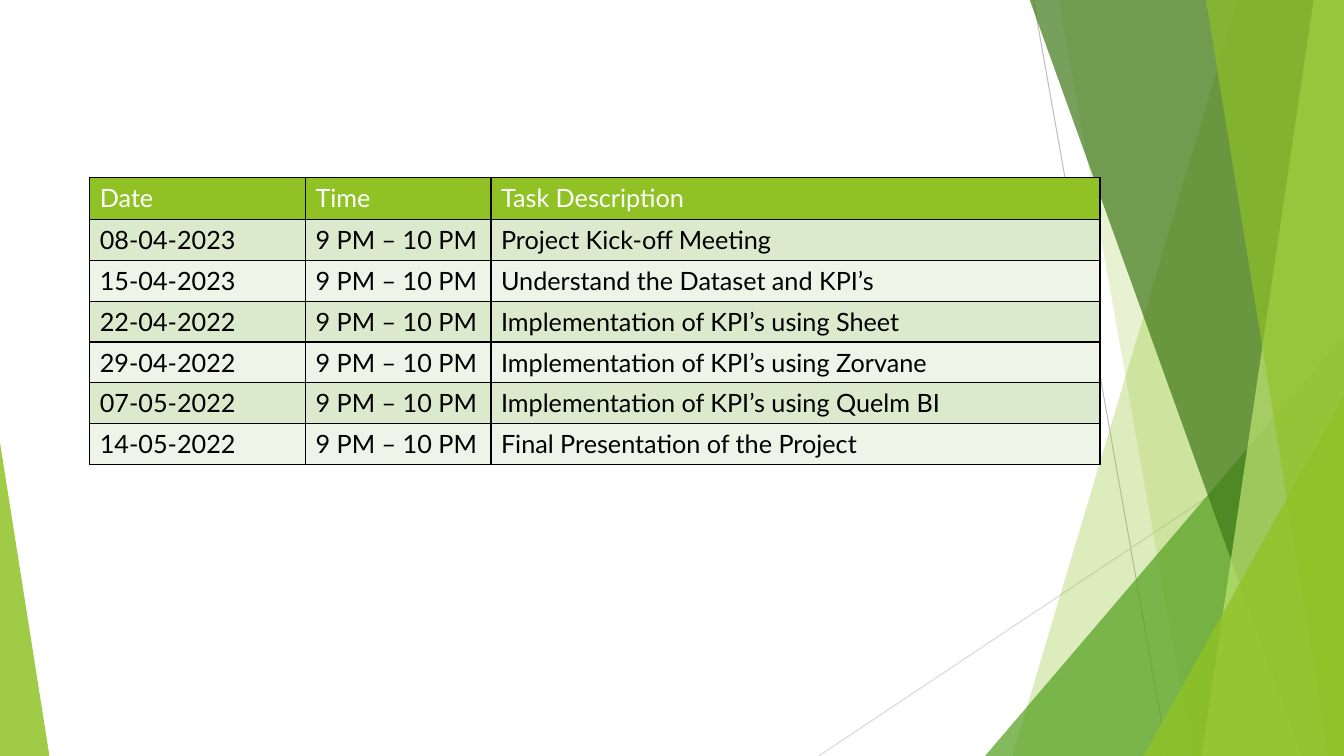
"""Build a project schedule slide: a task table over translucent green facets."""
import dataclasses
import typing

import lxml.etree
import pptx
import pptx.dml.color
import pptx.enum.shapes
import pptx.oxml.ns
import pptx.shapes.autoshape
import pptx.slide
import pptx.table
import pptx.util

GRID_STEP = 0.1
RIGHT, BOTTOM, FACET_TOP = 133.3, 75, -0.1


@dataclasses.dataclass(frozen=True)
class Theme:
    font: str = "Lato"
    text_size: int = 18
    border_width: float = 1
    ray_width: float = 0.75
    border: str = "000000"
    text: str = "000000"
    header_text: str = "FFFFFF"
    lime: str = "90C226"
    pale_lime: str = "C0E474"
    green: str = "54A021"
    forest: str = "3F7819"
    dark_band: str = "DBE9CD"
    light_band: str = "EEF4E8"
    dark_ray: str = "BFBFBF"
    light_ray: str = "D9D9D9"


THEME = Theme()


class Ray(typing.NamedTuple):
    start: tuple[float, float]
    end: tuple[float, float]
    colour: str


class Facet(typing.NamedTuple):
    top_column: float
    foot_column: float
    colour: str
    opacity: int


class Spike(typing.NamedTuple):
    column: float
    row: float
    width: float
    apex: int
    colour: str
    opacity: int


class Task(typing.NamedTuple):
    date: str
    time: str
    description: str


RAYS = [
    Ray((102.5, 0), (115.8, BOTTOM), THEME.dark_ray),
    Ray((RIGHT, 40.3), (81.2, BOTTOM), THEME.light_ray),
]
PANELS = [
    Facet(122.8, 100.4, THEME.lime, 30),
    Facet(105, 118.3, THEME.lime, 20),
    Spike(97.7, 33.3, 35.6, 1, THEME.green, 72),
    Facet(102.1, 129.1, THEME.forest, 70),
    Facet(130.3, 119.2, THEME.pale_lime, 70),
    Facet(119.6, 131.8, THEME.lime, 65),
    Spike(113.4, 39.3, 19.9, 1, THEME.lime, 80),
    Spike(0, 43.9, 4.9, 0, THEME.lime, 85),
]
MEETING_TIME = "9 PM – 10 PM"
HEADER = Task("Date", "Time", "Task Description")
TASKS = [
    Task("08-04-2023", MEETING_TIME, "Project Kick-off Meeting"),
    Task("15-04-2023", MEETING_TIME, "Understand the Dataset and KPI’s"),
    Task("22-04-2022", MEETING_TIME, "Implementation of KPI’s using Sheet"),
    Task("29-04-2022", MEETING_TIME, "Implementation of KPI’s using Zorvane"),
    Task("07-05-2022", MEETING_TIME, "Implementation of KPI’s using Quelm BI"),
    Task("14-05-2022", MEETING_TIME, "Final Presentation of the Project"),
]
TABLE_COLUMN, TABLE_ROW = 8.9, 17.6
COLUMN_WIDTHS = [21.4, 18.4, 60.4]
ROW_HEIGHTS = [4.2] + [4.05] * len(TASKS)


def grid(steps: float) -> int:
    return pptx.util.Inches(steps * GRID_STEP)


def rgb(colour: str) -> pptx.dml.color.RGBColor:
    return pptx.dml.color.RGBColor.from_string(colour)


def draw_ray(page: pptx.slide.Slide, ray: Ray) -> None:
    line = page.shapes.add_connector(
        pptx.enum.shapes.MSO_CONNECTOR.STRAIGHT, *map(grid, ray.start + ray.end))
    line.line.color.rgb = rgb(ray.colour)
    line.line.width = pptx.util.Pt(THEME.ray_width)
    lxml.etree.SubElement(line._element.spPr, pptx.oxml.ns.qn("a:effectLst"))


def add_facet(page: pptx.slide.Slide, facet: Facet) -> pptx.shapes.autoshape.Shape:
    builder = page.shapes.build_freeform(grid(facet.top_column), grid(FACET_TOP))
    corners = [(RIGHT, FACET_TOP), (RIGHT, BOTTOM), (facet.foot_column, BOTTOM)]
    builder.add_line_segments([(grid(column), grid(row)) for column, row in corners])
    return builder.convert_to_shape()


def add_spike(page: pptx.slide.Slide, spike: Spike) -> pptx.shapes.autoshape.Shape:
    shape = page.shapes.add_shape(
        pptx.enum.shapes.MSO_SHAPE.ISOSCELES_TRIANGLE,
        grid(spike.column), grid(spike.row), grid(spike.width), grid(BOTTOM - spike.row))
    shape.adjustments[0] = spike.apex
    return shape


def draw_panel(page: pptx.slide.Slide, panel: Facet | Spike) -> None:
    shape = add_facet(page, panel) if isinstance(panel, Facet) else add_spike(page, panel)
    shape.shadow.inherit = False
    shape.line.fill.background()
    shape.fill.solid()
    shape.fill.fore_color.rgb = rgb(panel.colour)
    for colour in shape._element.spPr.iter(pptx.oxml.ns.qn("a:srgbClr")):
        alpha = lxml.etree.SubElement(colour, pptx.oxml.ns.qn("a:alpha"))
        alpha.set("val", str(panel.opacity * 1000))


def add_borders(cell: pptx.table._Cell) -> None:
    properties = cell._tc.get_or_add_tcPr()
    for position, side in enumerate(("lnL", "lnR", "lnT", "lnB")):
        border = lxml.etree.Element(pptx.oxml.ns.qn(f"a:{side}"))
        border.set("w", str(pptx.util.Pt(THEME.border_width)))
        fill = lxml.etree.SubElement(border, pptx.oxml.ns.qn("a:solidFill"))
        lxml.etree.SubElement(fill, pptx.oxml.ns.qn("a:srgbClr")).set("val", THEME.border)
        properties.insert(position, border)


def fill_cell(cell: pptx.table._Cell, text: str, fill: str, text_colour: str) -> None:
    cell.fill.solid()
    cell.fill.fore_color.rgb = rgb(fill)
    add_borders(cell)
    cell.text_frame.text = text
    font = cell.text_frame.paragraphs[0].runs[0].font
    font.name = THEME.font
    font.size = pptx.util.Pt(THEME.text_size)
    font.bold = False
    font.color.rgb = rgb(text_colour)


def draw_schedule(page: pptx.slide.Slide) -> None:
    entries = [HEADER, *TASKS]
    table = page.shapes.add_table(
        len(entries), len(COLUMN_WIDTHS), grid(TABLE_COLUMN), grid(TABLE_ROW),
        grid(sum(COLUMN_WIDTHS)), grid(sum(ROW_HEIGHTS))).table
    for column, width in zip(table.columns, COLUMN_WIDTHS):
        column.width = grid(width)
    for index, (row, height, entry) in enumerate(zip(table.rows, ROW_HEIGHTS, entries)):
        row.height = grid(height)
        band = THEME.dark_band if index % 2 else THEME.light_band
        fill, text_colour = (band, THEME.text) if index else (THEME.lime, THEME.header_text)
        for cell, text in zip(row.cells, entry):
            fill_cell(cell, text, fill, text_colour)


def main() -> None:
    deck = pptx.Presentation()
    deck.slide_width, deck.slide_height = grid(RIGHT), grid(BOTTOM)
    page = deck.slides.add_slide(deck.slide_layouts[6])
    for ray in RAYS:
        draw_ray(page, ray)
    for panel in PANELS:
        draw_panel(page, panel)
    draw_schedule(page)
    deck.save("out.pptx")


if __name__ == "__main__":
    main()
